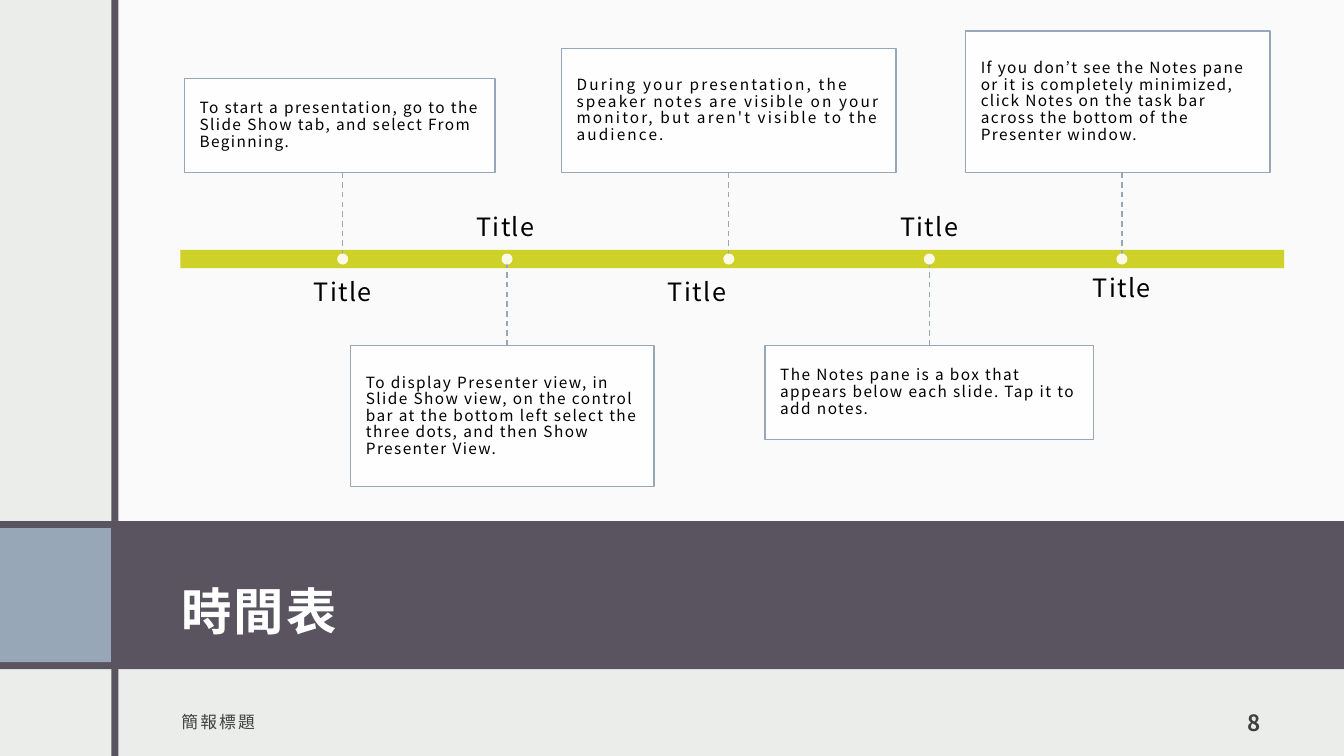
import lxml.etree
import pptx
import pptx.dml.color
import pptx.enum.dml
import pptx.enum.shapes
import pptx.enum.text
import pptx.oxml.ns
import pptx.util

COLORS = {
    "page": "EBEDEB", "white": "FFFFFF", "plum": "595460", "blue": "97A7B8",
    "lime": "CED228", "black": "000000", "gray": "404040",
}
FONT = "Noto Sans CJK JP"
COLUMNS, ROWS = 160, 90
CELL = pptx.util.Inches(1) / 12  # side of one square grid cell

SHAPE = pptx.enum.shapes.MSO_SHAPE
ANCHOR = pptx.enum.text.MSO_ANCHOR
ALIGN = pptx.enum.text.PP_ALIGN

# Axis column, title shift and line spacing, card (column, width, height),
# letter spacing, text; cards alternate above and below the axis
EVENTS = [
    (19.32, 0, 1, (0.48, 36.96, 11.16), 1,
     "To start a presentation, go to the Slide Show tab, and select From Beginning."),
    (38.88, -0.18, 1, (20.28, 36.12, 16.8), 1,
     "To display Presenter view, in Slide Show view, on the control bar at the "
     "bottom left select the three dots, and then Show Presenter View."),
    (65.28, -3.78, 1, (45.36, 39.84, 14.76), 1.5,
     "During your presentation, the speaker notes are visible on your monitor, "
     "but aren't visible to the audience."),
    (89.16, 0, 0.9, (69.6, 39.12, 11.16), 1,
     "The Notes pane is a box that appears below each slide. Tap it to add notes."),
    (112.08, 0, 0.9, (93.48, 36.24, 16.8), 1,
     "If you don’t see the Notes pane or it is completely minimized, click Notes "
     "on the task bar across the bottom of the Presenter window."),
]


def cells(*counts):
    return [pptx.util.Emu(round(count * CELL)) for count in counts]


def color(name):
    return pptx.dml.color.RGBColor.from_string(COLORS[name])


def add_block(page, box, fill, kind=SHAPE.RECTANGLE, opacity=100, outline=None):
    block = page.shapes.add_shape(kind, *cells(*box))
    block.shadow.inherit = False
    block.fill.solid()
    block.fill.fore_color.rgb = color(fill)
    if opacity < 100:
        tint = block.fill._xPr.find(".//" + pptx.oxml.ns.qn("a:srgbClr"))
        alpha = lxml.etree.SubElement(tint, pptx.oxml.ns.qn("a:alpha"))
        alpha.set("val", str(opacity * 1000))
    if outline:
        block.line.color.rgb = color(outline)
        block.line.width = pptx.util.Pt(1)
    else:
        block.line.fill.background()
    return block


def write(shape, text, size, ink, bold=False, tracking=1.5, align=ALIGN.LEFT,
          anchor=ANCHOR.MIDDLE, leading=1, insets=(0.12, 0.12, 0.12, 0.1)):
    frame = shape.text_frame
    frame.word_wrap = True
    frame.vertical_anchor = anchor
    (frame.margin_left, frame.margin_top,
     frame.margin_right, frame.margin_bottom) = map(pptx.util.Inches, insets)
    para = frame.paragraphs[0]
    para.alignment = align
    para.line_spacing = leading
    span = para.add_run()
    span.text = text
    span.font.name = FONT
    span.font.size = pptx.util.Pt(size)
    span.font.bold = bold
    span.font.color.rgb = color(ink)
    properties = span.font._element
    properties.set("spc", str(round(tracking * 100)))
    east_asian = lxml.etree.SubElement(properties, pptx.oxml.ns.qn("a:ea"))
    east_asian.set("typeface", FONT)


def add_text(page, box, text, size, ink, **style):
    write(page.shapes.add_textbox(*cells(*box)), text, size, ink, **style)


def add_backdrop(page, box):
    left, top, width, height = box
    gutter, band_top, band_height = 13.68, 62.04, 17.64
    add_block(page, (left + gutter, top, width - gutter, band_top), "white", opacity=75)
    add_block(page, (left, top + band_top, width, band_height), "plum")
    add_block(page, (left, top + band_top + 0.84, 13.2, band_height - 1.68), "blue")
    add_block(page, (left + 13.26, top, 0.84, height), "plum")


def add_heading(page, box):
    add_text(page, box, "時間表", 36, "white", bold=True, leading=1.5)


def add_footer(page, box):
    left, top, width, height = box
    number_width = 12.84
    add_text(page, (left, top, width / 2, height), "簡報標題", 12, "gray")
    add_text(page, (left + width - number_width, top, number_width, height), "8", 16,
             "gray", bold=True, align=ALIGN.RIGHT, anchor=ANCHOR.BOTTOM)


def add_event(page, origin, axis, above, event):
    column, shift, leading, (card_column, card_width, card_height), tracking, text = event
    stem, gap, title_width, title_height, dot = 10.32, 2.04, 34.92, 6.12, 1.32
    center = origin + column
    card_left = origin + card_column

    # Card
    card_edge = axis - stem if above else axis + stem
    card_top = card_edge - card_height if above else card_edge
    card = add_block(page, (card_left, card_top, card_width, card_height), "white",
                     opacity=90, outline="blue")
    write(card, text, 11, "black", tracking=tracking, leading=0.9,
          insets=(0.15, 0.07, 0.15, 0.07))

    # Dashed stem, joined to the card where it meets the middle of its side
    line = page.shapes.add_connector(pptx.enum.shapes.MSO_CONNECTOR.STRAIGHT,
                                     *cells(center, card_edge, center, axis))
    if abs(card_left + card_width / 2 - center) < 0.1:
        line.begin_connect(card, 2 if above else 0)
    line.line.color.rgb = color("blue")
    line.line.width = pptx.util.Pt(1)
    line.line.dash_style = pptx.enum.dml.MSO_LINE.DASH
    lxml.etree.SubElement(line._element.spPr, pptx.oxml.ns.qn("a:effectLst"))

    # Title on the other side of the axis
    title_top = axis + gap if above else axis - gap - title_height
    add_text(page, (center + shift - title_width / 2, title_top, title_width, title_height),
             "Title", 18, "black", tracking=1, align=ALIGN.CENTER, leading=leading,
             anchor=ANCHOR.TOP if above else ANCHOR.BOTTOM, insets=(0, 0, 0, 0))

    # Marker
    add_block(page, (center - dot / 2, axis - dot / 2, dot, dot), "white",
              kind=SHAPE.OVAL, opacity=90)


def add_timeline(page, box):
    left, top, width, height = box
    axis = top + height / 2
    bar_height = 2.16
    add_block(page, (left, axis - bar_height / 2, width, bar_height), "lime")
    for index, event in enumerate(EVENTS):
        add_event(page, left, axis, index % 2 == 0, event)


def main():
    deck = pptx.Presentation()
    deck.slide_width, deck.slide_height = cells(COLUMNS, ROWS)
    page = deck.slides.add_slide(deck.slide_layouts[6])
    page.background.fill.solid()
    page.background.fill.fore_color.rgb = color("page")
    add_backdrop(page, (0, 0, COLUMNS, ROWS))
    add_heading(page, (20.16, 63.96, 131.4, 13.56))
    add_footer(page, (20.16, 82.8, 131.4, 6))
    add_timeline(page, (21.48, 3.72, 131.4, 54.24))
    deck.save("out.pptx")


if __name__ == "__main__":
    main()
